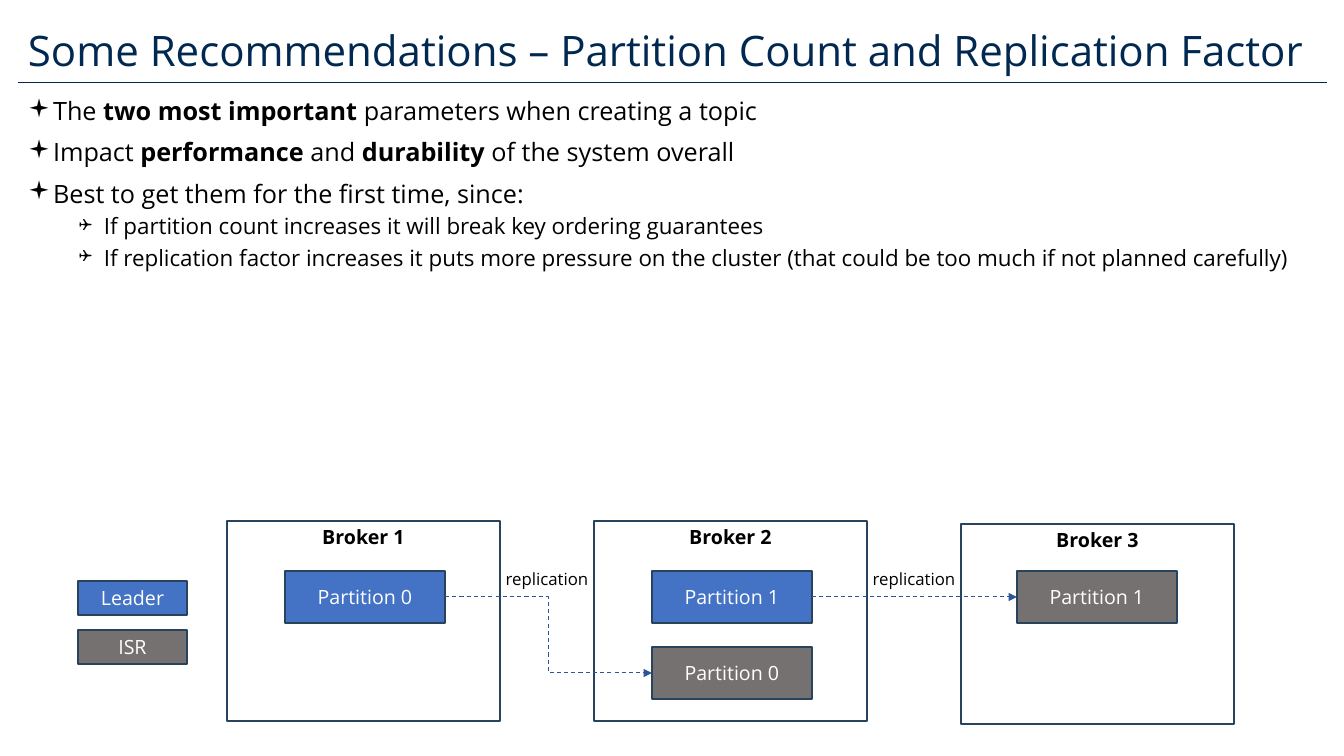
import pptx
import pptx.util
import pptx.dml.color
import pptx.enum.dml
import pptx.enum.shapes
import pptx.enum.text
import pptx.oxml
import pptx.oxml.ns
import lxml.etree

PX = 9071.43
FONT = "Open Sans"
NAVY, BLACK, WHITE = "012850", "000000", "FFFFFF"
BLUE, GRAY, OUTLINE, ARROW = "4472C4", "767171", "28445D", "2F5597"

TITLE = "Some Recommendations – Partition Count and Replication Factor"
# (level, [(text, bold), ...])
BULLETS = [
    (0, [("The ", False), ("two most important ", True),
         ("parameters when creating a topic", False)]),
    (0, [("Impact ", False), ("performance ", True), ("and ", False),
         ("durability", True), (" of the system overall", False)]),
    (0, [("Best to get them for the first time, since:", False)]),
    (1, [("If partition count increases it will break key ordering guarantees", False)]),
    (1, [("If replication factor increases it puts more pressure on the cluster "
          "(that could be too much if not planned carefully)", False)]),
]
LEVELS = [
    {"size": 18, "indent": 25, "before": 10, "mark": "▪", "mark_size": None},
    {"size": 16, "indent": 76, "before": 5, "mark": "❑", "mark_size": 75},
]
BROKERS = [("Broker 1", 227, 521), ("Broker 2", 594, 521), ("Broker 3", 961, 524)]
# (text, left, top, width, height, fill)
PARTITIONS = [
    ("Partition 0", 285, 571, 160, 52, BLUE),
    ("Partition 1", 652, 571, 160, 52, BLUE),
    ("Partition 0", 652, 647, 160, 52, GRAY),
    ("Partition 1", 1017, 571, 160, 52, GRAY),
]
LEGEND = [("Leader", 78, 581, 109, 34, BLUE), ("ISR", 78, 630, 109, 34, GRAY)]
REPLICATIONS = [(0, 2), (1, 3)]
REPLICATION_LABELS = [("replication", 493), ("replication", 860)]

ALIGN = pptx.enum.text.PP_ALIGN
ANCHOR = pptx.enum.text.MSO_ANCHOR
CONNECTOR = pptx.enum.shapes.MSO_CONNECTOR


def px(value):
    return pptx.util.Emu(round(value * PX))


def color(value):
    return pptx.dml.color.RGBColor.from_string(value)


def add_element(parent, tag, **attributes):
    element = lxml.etree.SubElement(parent, pptx.oxml.ns.qn(tag))
    for name, value in attributes.items():
        element.set(name, str(value))


def add_run(paragraph, text, size, hex_color, bold=False):
    run = paragraph.add_run()
    run.text = text
    formats = {"name": FONT, "size": pptx.util.Pt(size), "bold": bold}
    for name, value in formats.items():
        setattr(run.font, name, value)
    run.font.color.rgb = color(hex_color)


def add_text_box(slide, left, top, width, height, anchor=ANCHOR.TOP):
    shape = slide.shapes.add_textbox(*map(px, (left, top, width, height)))
    shape.text_frame.word_wrap = True
    shape.text_frame.vertical_anchor = anchor
    return shape.text_frame


def add_label(slide, text, left, top, width, height, size, bold=False):
    paragraph = add_text_box(slide, left, top, width, height).paragraphs[0]
    paragraph.alignment = ALIGN.CENTER
    add_run(paragraph, text, size, BLACK, bold)


def add_box(slide, left, top, width, height, fill, text=None):
    shape = slide.shapes.add_shape(pptx.enum.shapes.MSO_SHAPE.RECTANGLE,
                                   *map(px, (left, top, width, height)))
    shape.shadow.inherit = False
    shape.fill.solid()
    shape.fill.fore_color.rgb = color(fill)
    shape.line.color.rgb = color(OUTLINE)
    shape.line.width = pptx.util.Pt(1)
    if text:
        shape.text_frame.vertical_anchor = ANCHOR.MIDDLE
        paragraph = shape.text_frame.paragraphs[0]
        paragraph.alignment = ALIGN.CENTER
        add_run(paragraph, text, 14, WHITE)
    return shape


def add_line(slide, kind, start, end, hex_color, width):
    line = slide.shapes.add_connector(kind, *map(px, start + end))
    line.line.color.rgb = color(hex_color)
    line.line.width = pptx.util.Pt(width)
    add_element(line._element.spPr, "a:effectLst")
    return line


def add_replication_arrow(slide, source, target):
    """Join the right side of source to the left side of target."""
    straight = source.top == target.top
    kind = CONNECTOR.STRAIGHT if straight else CONNECTOR.ELBOW
    arrow = add_line(slide, kind, (0, 0), (1, 1), ARROW, 0.75)
    arrow.begin_connect(source, 3)
    arrow.end_connect(target, 1)
    arrow.line.dash_style = pptx.enum.dml.MSO_LINE.DASH
    add_element(arrow.line._get_or_add_ln(), "a:tailEnd", type="triangle")


def add_bullets(slide):
    frame = add_text_box(slide, 18, 94, 1309, 638)
    for index, (level, runs) in enumerate(BULLETS):
        style = LEVELS[level]
        paragraph = frame.add_paragraph() if index else frame.paragraphs[0]
        paragraph.level = level
        paragraph.line_spacing = 0.9
        if index:
            paragraph.space_before = pptx.util.Pt(style["before"])
        properties = paragraph._p.get_or_add_pPr()
        properties.set("marL", str(px(style["indent"])))
        properties.set("indent", str(px(-25)))
        if style["mark_size"]:
            add_element(properties, "a:buSzPct", val=style["mark_size"] * 1000)
        add_element(properties, "a:buFont", typeface="Wingdings")
        add_element(properties, "a:buChar", char=style["mark"])
        for text, bold in runs:
            add_run(paragraph, text, style["size"], BLACK, bold)
    frame.auto_size = pptx.enum.text.MSO_AUTO_SIZE.TEXT_TO_FIT_SHAPE


def main():
    presentation = pptx.Presentation()
    presentation.slide_width, presentation.slide_height = px(1344), px(756)
    slide = presentation.slides.add_slide(presentation.slide_layouts[6])

    add_line(slide, CONNECTOR.STRAIGHT, (18, 82), (1327, 82), NAVY, 0.5)
    title = add_text_box(slide, 18, 24, 1309, 58, ANCHOR.MIDDLE).paragraphs[0]
    title.line_spacing = 0.9
    add_run(title, TITLE, 30, NAVY)
    add_bullets(slide)

    for name, left, top in BROKERS:
        add_box(slide, left, top, 273, 200, WHITE)
        add_label(slide, name, left, top - 1, 273, 34, 14, True)
    partitions = [add_box(slide, *place, text) for text, *place in PARTITIONS]
    for source, target in REPLICATIONS:
        add_replication_arrow(slide, partitions[source], partitions[target])
    for text, left in REPLICATION_LABELS:
        add_label(slide, text, left, 564, 108, 30, 12)
    for text, *place in LEGEND:
        add_box(slide, *place, text)
    presentation.save("out.pptx")


if __name__ == "__main__":
    main()
